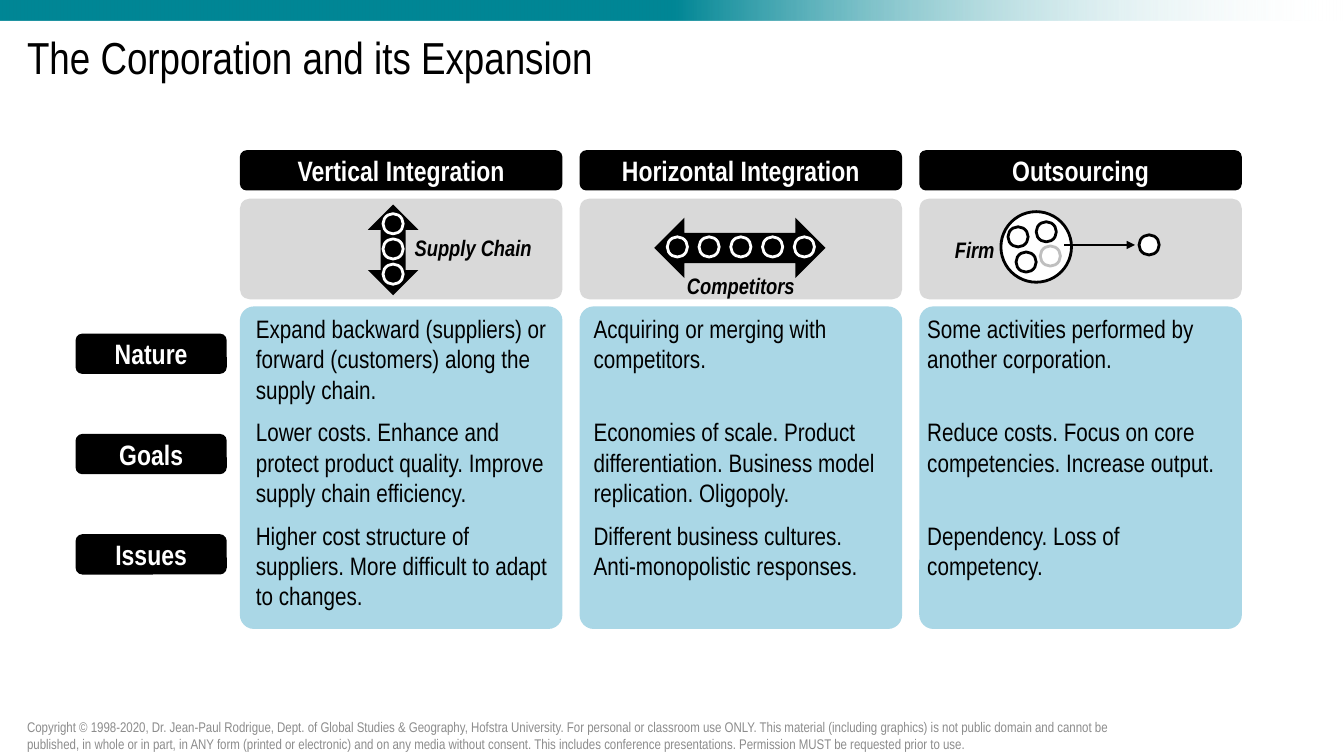
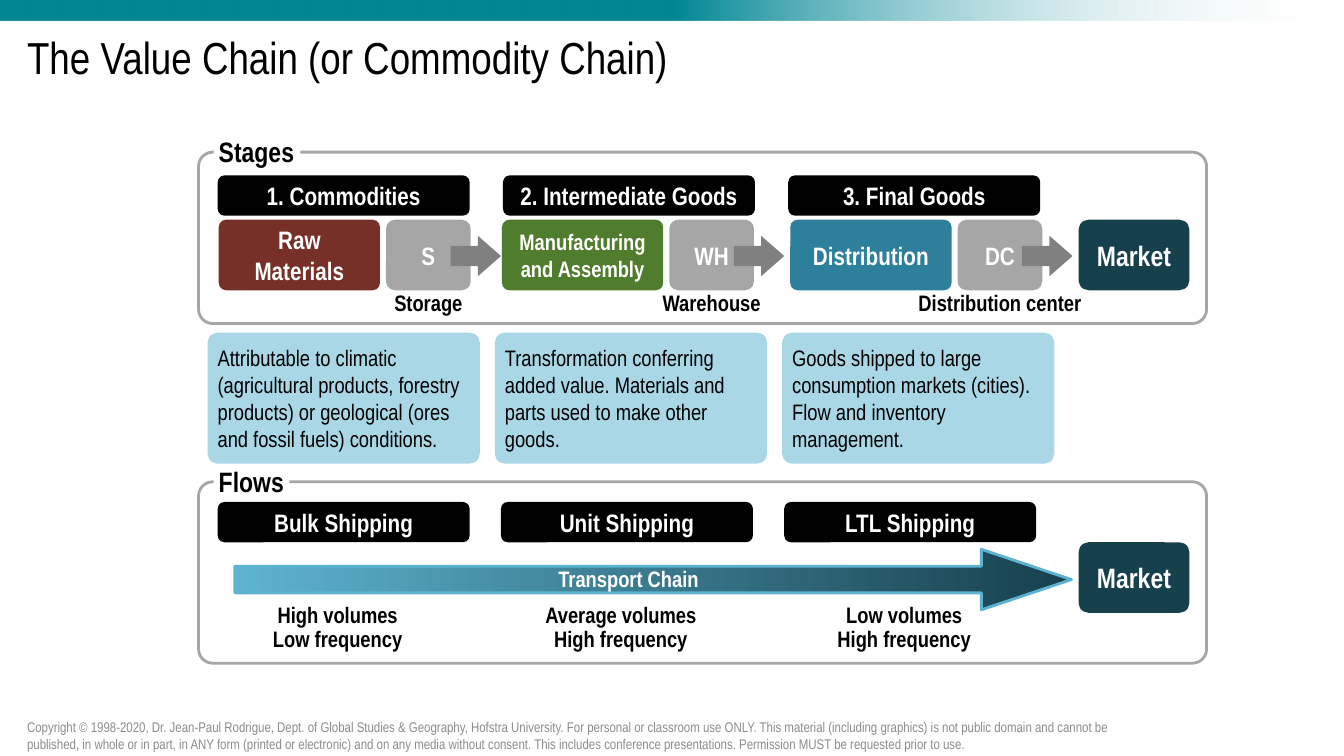
"""Build two slides on corporate expansion and the value chain."""
from dataclasses import dataclass, replace
from typing import NamedTuple, Optional

from lxml.etree import SubElement
from pptx import Presentation
from pptx.dml.color import RGBColor as RGB
from pptx.enum.shapes import MSO_CONNECTOR as CONN, MSO_SHAPE as SHAPE
from pptx.enum.text import MSO_ANCHOR as ANCHOR, PP_ALIGN as ALIGN
from pptx.oxml.ns import qn
from pptx.util import Emu, Inches, Pt

CELL = Inches(0.1)
COLS, ROWS = 133.33, 75


class Box(NamedTuple):
    """Place and size in grid columns and rows."""
    col: float
    row: float
    cols: float
    rows: float

    def emu(self) -> list[Emu]:
        """Return the four lengths in EMU."""
        return [Emu(round(n * CELL)) for n in self]


class Line(NamedTuple):
    """Outline colour and width in points."""
    color: str
    width: float = 2


@dataclass(frozen=True)
class Style:
    """Text format of one role; insets are in grid cells."""
    size: float
    color: str = "000000"
    bold: bool = False
    italic: bool = False
    align: ALIGN = ALIGN.LEFT
    anchor: ANCHOR = ANCHOR.TOP
    wrap: bool = True
    inset: tuple[float, float] = (1, 0.5)
    spacing: float = 1


@dataclass(frozen=True)
class Theme:
    """Colours and text styles shared by the slides."""
    font: str = "Arial Narrow"
    black: str = "000000"
    white: str = "FFFFFF"
    band: str = "008695"
    pale: str = "D9D9D9"
    faded: str = "BFBFBF"
    gray: str = "A6A6A6"
    arrow: str = "808080"
    card: str = "AAD7E6"
    sky: str = "5DB3CF"
    navy: str = "17404D"
    title: Style = Style(32, anchor=ANCHOR.MIDDLE, spacing=0.9)
    footer: Style = Style(10, "8C8C8C", anchor=ANCHOR.MIDDLE)
    head: Style = Style(20, "FFFFFF", True, align=ALIGN.CENTER, anchor=ANCHOR.MIDDLE)
    body: Style = Style(18)
    card_body: Style = Style(16, anchor=ANCHOR.MIDDLE, inset=(0.7, 0.5))
    label: Style = Style(16, bold=True, align=ALIGN.CENTER, wrap=False)
    tag: Style = Style(20, bold=True, wrap=False, inset=(0.5, 0), spacing=0.8)


T = Theme()
SUBHEAD = replace(T.head, size=18)
ICON_LABEL = replace(T.label, italic=True)
CAPTION = replace(T.label, inset=(0, 0), spacing=0.9)
NOTE = replace(T.label, spacing=0.9)
FOOTER = (
    "Copyright © 1998-2020, Dr. Jean-Paul Rodrigue, Dept. of Global Studies & Geography, "
    "Hofstra University. For personal or classroom use ONLY. This material (including graphics) "
    "is not public domain and cannot be published, in whole or in part, in ANY form (printed or "
    "electronic) and on any media without consent. This includes conference presentations. "
    "Permission MUST be requested prior to use."
)


@dataclass(frozen=True)
class Strategy:
    """One column of the expansion table."""
    head: str
    text_col: float
    text_cols: float
    cells: tuple[str, str, str]


@dataclass(frozen=True)
class Stage:
    """One stage of the value chain with its store and its flow."""
    head: str
    name: str
    fill: str
    size: float
    store: str
    caption: str
    store_col: float
    detail: str
    shipping: str
    notes: tuple[str, str]


STRATEGIES = (
    Strategy("Vertical Integration", 24.4, 32, (
        "Expand backward (suppliers) or forward (customers) along the supply chain.",
        "Lower costs. Enhance and protect product quality. Improve supply chain efficiency.",
        "Higher cost structure of suppliers. More difficult to adapt to changes.")),
    Strategy("Horizontal Integration", 57.9, 31.1, (
        "Acquiring or merging with competitors.",
        "Economies of scale. Product differentiation. Business model replication. Oligopoly.",
        "Different business cultures. Anti-monopolistic responses.")),
    Strategy("Outsourcing", 91, 31.1, (
        "Some activities performed by another corporation.",
        "Reduce costs. Focus on core competencies. Increase output.",
        "Dependency. Loss of competency.")),
)
STAGES = (
    Stage("1. Commodities", "Raw Materials", "763028", 18, "S", "Storage", 38.3,
          "Attributable to climatic (agricultural products, forestry products) or geological "
          "(ores and fossil fuels) conditions.",
          "Bulk Shipping", ("High volumes", "Low frequency")),
    Stage("2. Intermediate Goods", "Manufacturing and Assembly", "507D2D", 16, "WH", "Warehouse", 66.4,
          "Transformation conferring added value. Materials and parts used to make other goods.",
          "Unit Shipping", ("Average volumes", "High frequency")),
    Stage("3. Final Goods", "Distribution", "2D7F9B", 18, "DC", "Distribution center", 95,
          "Goods shipped to large consumption markets (cities). Flow and inventory management.",
          "LTL Shipping", ("Low volumes", "High frequency")),
)


def rgb(color: str) -> RGB:
    """Turn a hex string into a colour."""
    return RGB.from_string(color)


def write(s, style: Style, *lines: str) -> None:
    """Fill a shape with one styled paragraph per line."""
    tf = s.text_frame
    x, y = (Emu(round(n * CELL)) for n in style.inset)
    frame = dict(word_wrap=style.wrap, vertical_anchor=style.anchor,
                 margin_left=x, margin_right=x, margin_top=y, margin_bottom=y)
    for key, value in frame.items():
        setattr(tf, key, value)
    for i, line in enumerate(lines):
        p = tf.add_paragraph() if i else tf.paragraphs[0]
        p.alignment, p.line_spacing = style.align, style.spacing
        r = p.add_run()
        r.text = line
        fmt = dict(name=T.font, size=Pt(style.size), bold=style.bold, italic=style.italic)
        for key, value in fmt.items():
            setattr(r.font, key, value)
        r.font.color.rgb = rgb(style.color)


def text(sl, box: Box, style: Style, *lines: str) -> None:
    """Add a text box."""
    write(sl.shapes.add_textbox(*box.emu()), style, *lines)


def shape(sl, kind: SHAPE, box: Box, fill: Optional[str] = None, line: Optional[Line] = None):
    """Add a flat preset shape."""
    s = sl.shapes.add_shape(kind, *box.emu())
    s.shadow.inherit = False
    if fill:
        s.fill.solid()
        s.fill.fore_color.rgb = rgb(fill)
    else:
        s.fill.background()
    if line:
        s.line.color.rgb, s.line.width = rgb(line.color), Pt(line.width)
    else:
        s.line.fill.background()
    return s


def rounded(sl, box: Box, fill: Optional[str], radius: float = 1, line: Optional[Line] = None,
            style: Style = T.head, label: str = "") -> None:
    """Add a rounded box whose corner radius is given in cells."""
    s = shape(sl, SHAPE.ROUNDED_RECTANGLE, box, fill, line)
    s.adjustments[0] = radius / min(box.cols, box.rows)
    if label:
        write(s, style, label)


def heading(sl, box: Box, label: str, style: Style = T.head) -> None:
    """Add a black heading."""
    rounded(sl, box, T.black, 0.67, style=style, label=label)


def dot(sl, col: float, row: float, fill: str, line: str, size: float = 2) -> None:
    """Add an outlined circle."""
    shape(sl, SHAPE.OVAL, Box(col, row, size, size), fill, Line(line))


def gradient(s, *stops: tuple[float, str]) -> None:
    """Give a shape a left-to-right gradient."""
    s.fill.gradient()
    s.fill.gradient_angle = 0
    for stop, (position, color) in zip(s.fill.gradient_stops, stops):
        stop.position, stop.color.rgb = position, rgb(color)


def arrow(sl, col: float, row: float, cols: float) -> None:
    """Add a thin horizontal arrow."""
    x, y, w, _ = Box(col, row, cols, 0).emu()
    c = sl.shapes.add_connector(CONN.STRAIGHT, x, y, x + w, y)
    c.line.color.rgb, c.line.width = rgb(T.black), Pt(1.5)
    SubElement(c.line._get_or_add_ln(), qn("a:tailEnd"), type="triangle")
    SubElement(c.element.spPr, qn("a:effectLst"))


def base(prs, title: str):
    """Add a slide with its band, title and footer."""
    sl = prs.slides.add_slide(prs.slide_layouts[6])
    band = shape(sl, SHAPE.RECTANGLE, Box(0, 0, COLS, 2), T.band)
    gradient(band, (0.5, T.band), (1, T.white))
    *_, clear = band.element.spPr.iter(qn("a:srgbClr"))
    SubElement(clear, qn("a:alpha"), val="0")
    text(sl, Box(1.7, 2, 130, 8), T.title, title)
    text(sl, Box(1.7, 71, 109.5, 4), T.footer, FOOTER)
    return sl


def expansion_icons(sl) -> None:
    """Draw the three icons above the columns."""
    s = shape(sl, SHAPE.LEFT_RIGHT_ARROW, Box(34.5, 22.3, 9, 5), T.black)
    s.rotation = 90
    shape(sl, SHAPE.LEFT_RIGHT_ARROW, Box(64.9, 21.6, 17, 6), T.black)
    for i in range(3):
        dot(sl, 38, 21.2 + 2.5 * i, T.black, T.white)
    for i in range(5):
        dot(sl, 66.2 + 3.15 * i, 23.5, T.black, T.white)
    dot(sl, 99.3, 21, T.white, T.black, 7)
    for col, row, line in ((100, 22.5, T.black), (102.8, 22, T.black), (103.2, 24.4, T.faded),
                           (100.8, 25, T.black), (113, 23.3, T.black)):
        dot(sl, col, row, T.white, line)
    arrow(sl, 105.6, 24.3, 7)
    for col, row, cols, label in ((40.1, 22.7, 13.7, "Supply Chain"),
                                  (67.1, 26.5, 12.8, "Competitors"), (93.7, 22.9, 6, "Firm")):
        text(sl, Box(col, row, cols, 3.7), ICON_LABEL, label)


def expansion_slide(prs) -> None:
    """Compare the three ways a corporation expands."""
    sl = base(prs, "The Corporation and its Expansion")
    for i, strategy in enumerate(STRATEGIES):
        col = 23.8 + 33.7 * i
        heading(sl, Box(col, 14.9, 32, 4), strategy.head)
        rounded(sl, Box(col, 19.7, 32, 10), T.pale)
        rounded(sl, Box(col, 30.4, 32, 32), T.card, 1.4)
        for j, cell in enumerate(strategy.cells):
            text(sl, Box(strategy.text_col, 30.6 + 10.25 * j, strategy.text_cols, 10.1), T.body, cell)
    for j, label in enumerate(("Nature", "Goals", "Issues")):
        heading(sl, Box(7.5, 33.1 + 9.95 * j, 15, 4), label)
    expansion_icons(sl)


def chain_slide(prs) -> None:
    """Show the stages and the flows of the value chain."""
    sl = base(prs, "The Value Chain (or Commodity Chain)")
    for row, rows, tag, cols, market in ((15.1, 17, "Stages", 8.6, 21.8), (47.8, 18, "Flows", 7.5, 53.8)):
        rounded(sl, Box(19.7, row, 100, rows), None, 1.4, Line(T.gray))
        write(shape(sl, SHAPE.RECTANGLE, Box(21.2, row - 1.1, cols, 2.7), T.white), T.tag, tag)
        rounded(sl, Box(107, market, 11, 7), T.navy, label="Market")
    s = shape(sl, SHAPE.RIGHT_ARROW, Box(23.3, 54.5, 83, 6), T.navy, Line(T.sky))
    s.adjustments[0], s.adjustments[1] = 0.44, 1.49
    gradient(s, (0, T.sky), (1, T.navy))
    text(sl, Box(54.3, 55.6, 16.1, 3.7), replace(T.label, color=T.white), "Transport Chain")
    for i, stage in enumerate(STAGES):
        store, flow = stage.store_col, 21.6 + 28.1 * i
        heading(sl, Box(21.6 + 28.3 * i, 17.4, 25, 4), stage.head, SUBHEAD)
        rounded(sl, Box(store - 16.6, 21.8, 16, 7), stage.fill, 0.74,
                style=replace(SUBHEAD, size=stage.size), label=stage.name)
        rounded(sl, Box(store, 21.8, 8.4, 7), T.gray, 0.88, style=SUBHEAD, label=stage.store)
        s = shape(sl, SHAPE.RIGHT_ARROW, Box(store + 6.4, 23.4, 5, 4), T.arrow)
        s.adjustments[1] = 0.57
        text(sl, Box(store - 4, 29, 16.4, 2.4), CAPTION, stage.caption)
        rounded(sl, Box(20.6 + 28.5 * i, 33, 27, 13), T.card, style=T.card_body, label=stage.detail)
        heading(sl, Box(flow, 49.8, 25, 4), stage.shipping, SUBHEAD)
        text(sl, Box(flow + 3.4, 59.4, 17, 5.9), NOTE, *stage.notes)


def main() -> None:
    """Build and save the presentation."""
    prs = Presentation()
    prs.slide_width, prs.slide_height = Box(0, 0, COLS, ROWS).emu()[2:]
    expansion_slide(prs)
    chain_slide(prs)
    prs.save("out.pptx")


if __name__ == "__main__":
    main()
